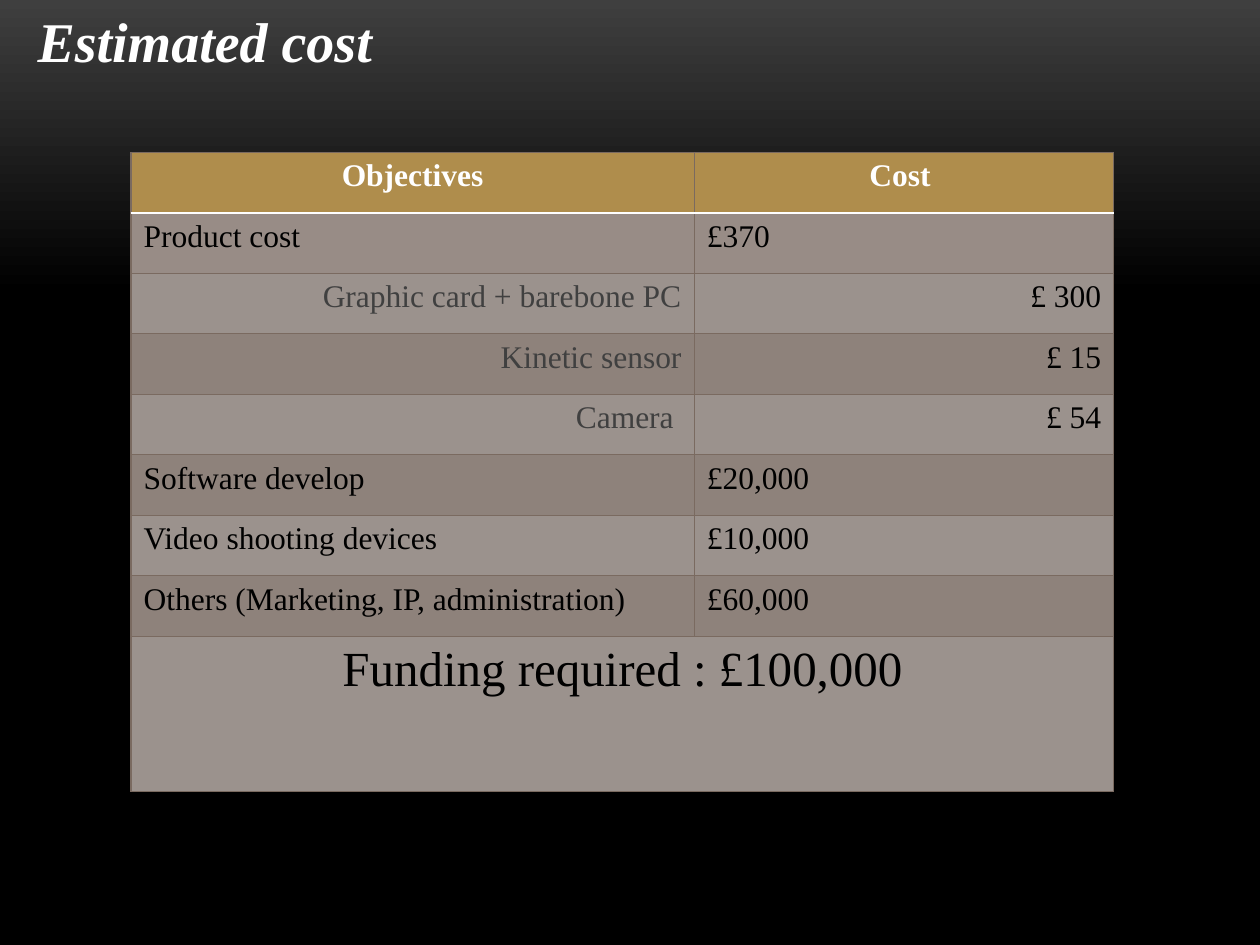
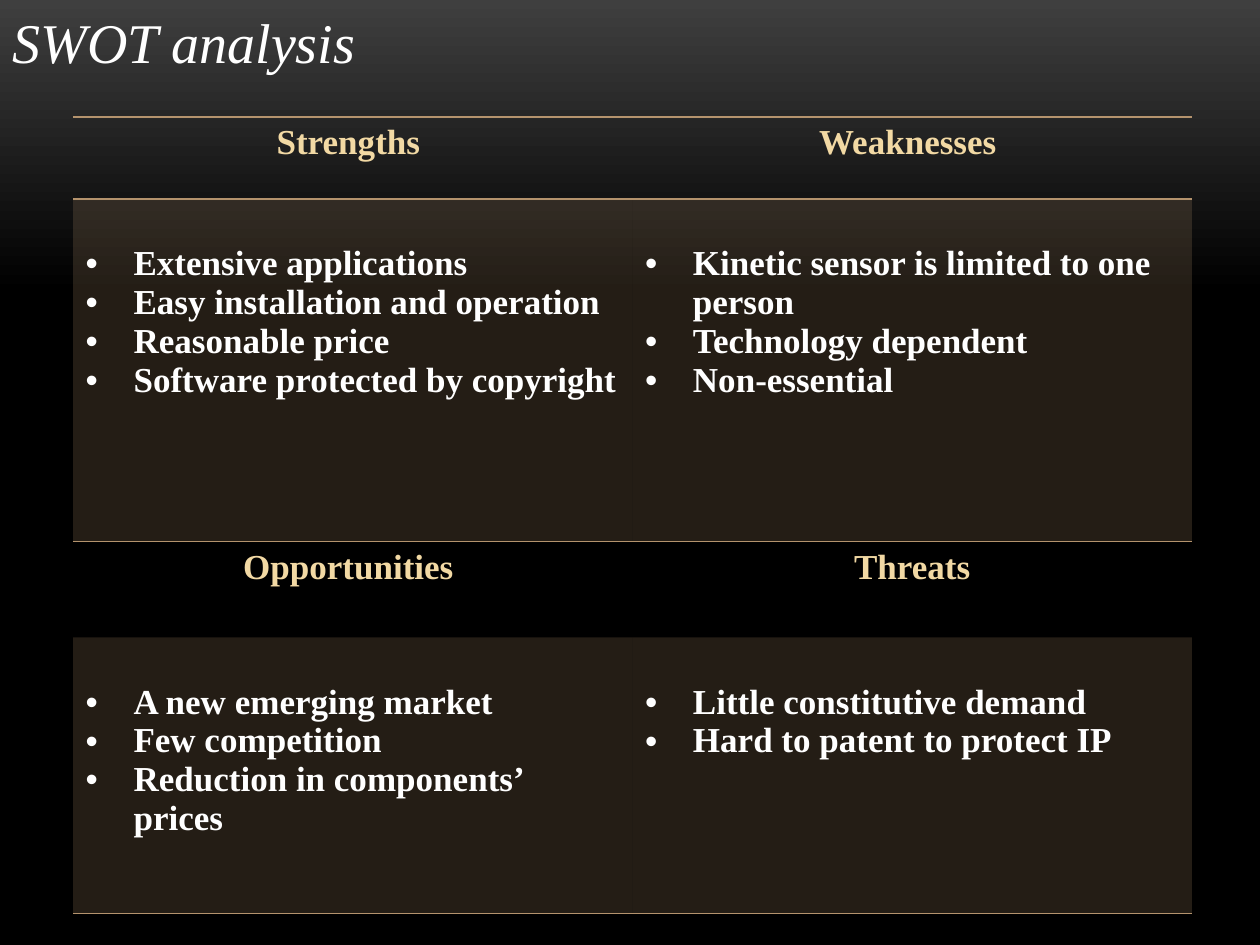
import copy
from pptx import Presentation
from pptx import util as u
from pptx.dml.color import RGBColor
from pptx.enum import text
from pptx.oxml import parse_xml
from pptx.oxml.ns import nsdecls, qn

FONT = "Times New Roman"
COLORS = {
    "glow": "3F3F3F", "black": "000000", "white": "FFFFFF", "grey": "404040",
    "gold": "AF8D4C", "frame": "7A6A60", "first": "988C86", "light": "9B928D",
    "dark": "8E827B", "sand": "F2D9A4", "bronze": "B4936D",
}
PLAIN_TABLE = "{2D5ABB26-0587-4C30-8999-92F81FD0307C}"
LEFT, CENTER, RIGHT = text.PP_ALIGN.LEFT, text.PP_ALIGN.CENTER, text.PP_ALIGN.RIGHT

COSTS = [
    ("Product cost", "£370", False),
    ("Graphic card + barebone PC", "£ 300", True),
    ("Kinetic sensor", "£ 15", True),
    ("Camera ", "£ 54", True),
    ("Software develop", "£20,000", False),
    ("Video shooting devices", "£10,000", False),
    ("Others (Marketing, IP, administration)", "£60,000", False),
]
SWOT = [
    [("Strengths ", ["Extensive applications", "Easy installation and operation",
                     "Reasonable price", "Software protected by copyright"]),
     ("Weaknesses ", ["Kinetic sensor is limited to one person",
                      "Technology dependent", "Non-essential"])],
    [("Opportunities ", ["A new emerging market", "Few competition",
                         "Reduction in components’ prices"]),
     ("Threats", ["Little constitutive demand", "Hard to patent to protect IP"])],
]


def rgb(name):
    return RGBColor.from_string(COLORS[name])


def style_runs(paragraph, size, color, bold=False, italic=False):
    for run in paragraph.runs:
        font = run.font
        font.name, font.size, font.bold, font.italic = FONT, u.Pt(size), bold, italic
        font.color.rgb = rgb(color)


def set_background(master):
    fill = master.background.fill
    fill.gradient()
    fill.gradient_angle = 270
    for stop, color, position in zip(fill.gradient_stops, ("glow", "black"), (0, 0.31)):
        stop.color.rgb = rgb(color)
        stop.position = position
    last = list(master.element.iter(qn("a:gs")))[-1]
    end = copy.deepcopy(last)
    end.set("pos", "100000")
    last.addnext(end)


def add_title(slide, wording, left, top, width, bold):
    box = slide.shapes.add_textbox(
        u.Inches(left), u.Inches(top), u.Inches(width), u.Inches(0.64))
    frame = box.text_frame
    frame.word_wrap = False
    frame.auto_size = text.MSO_AUTO_SIZE.SHAPE_TO_FIT_TEXT
    frame.text = wording
    style_runs(frame.paragraphs[0], 32, "white", bold, italic=True)


def add_plain_table(slide, left, top, widths, heights):
    shape = slide.shapes.add_table(
        len(heights), len(widths), u.Inches(left), u.Inches(top),
        u.Inches(sum(widths)), u.Inches(sum(heights)))
    for style in shape.element.iter(qn("a:tableStyleId")):
        style.text = PLAIN_TABLE
    table = shape.table
    for column, width in zip(table.columns, widths):
        column.width = u.Inches(width)
    for row, height in zip(table.rows, heights):
        row.height = u.Inches(height)
    return table


def paint_cell(cell, fill=None, borders=None, opacity=None):
    properties = cell._tc.get_or_add_tcPr()
    for side in "LRTB":
        if side in (borders or {}):
            color, points = borders[side]
            properties.append(parse_xml(
                f'<a:ln{side} {nsdecls("a")} w="{u.Pt(points)}"><a:solidFill>'
                f'<a:srgbClr val="{COLORS[color]}"/></a:solidFill></a:ln{side}>'))
    if fill is None:
        cell.fill.background()
        return
    cell.fill.solid()
    cell.fill.fore_color.rgb = rgb(fill)
    if opacity:
        color = properties.find(qn("a:solidFill")).find(qn("a:srgbClr"))
        color.append(parse_xml(f'<a:alpha {nsdecls("a")} val="{opacity * 1000}"/>'))


def write_cell(cell, wording, size, color, align=LEFT, bold=False):
    cell.text = wording
    paragraph = cell.text_frame.paragraphs[0]
    paragraph.alignment = align
    style_runs(paragraph, size, color, bold)


def write_bullets(cell, points):
    cell.margin_top = u.Inches(0.36)
    cell.text = "\n".join(points)
    indent = u.Inches(0.38)
    for paragraph in cell.text_frame.paragraphs:
        properties = paragraph._p.get_or_add_pPr()
        properties.set("marL", str(indent))
        properties.set("indent", str(-indent))
        properties.append(parse_xml(f'<a:buFont {nsdecls("a")} typeface="Arial"/>'))
        properties.append(parse_xml(f'<a:buChar {nsdecls("a")} char="•"/>'))
        style_runs(paragraph, 20, "white", bold=True)


def add_cost_table(slide, left, top):
    table = add_plain_table(slide, left, top, [4.47, 3.33], [0.48] * 8 + [1.23])
    frame = {side: ("frame", 0.75) for side in "LRTB"}
    rule = ("white", 0.85)
    for column, heading in enumerate(("Objectives", "Cost ")):
        cell = table.cell(0, column)
        write_cell(cell, heading, 18, "white", CENTER, bold=True)
        paint_cell(cell, "gold", {**frame, "B": rule})
    for row, (objective, cost, is_part) in enumerate(COSTS, 1):
        fill = "first" if row == 1 else "dark" if row % 2 else "light"
        borders = {**frame, "T": rule} if row == 1 else frame
        align = RIGHT if is_part else LEFT
        colors = ("grey" if is_part else "black", "black")
        for column, (wording, color) in enumerate(zip((objective, cost), colors)):
            cell = table.cell(row, column)
            write_cell(cell, wording, 18, color, align)
            paint_cell(cell, fill, borders)
    total, end = table.cell(8, 0), table.cell(8, 1)
    total.merge(end)
    write_cell(total, "Funding required : £100,000", 28, "black", CENTER)
    for cell in (total, end):
        paint_cell(cell, "light", frame)


def add_swot_table(slide, left, top):
    table = add_plain_table(slide, left, top, [4.44, 4.44], [0.65, 2.72, 0.76, 2.19])
    line = ("bronze", 1)
    heading_borders = [{"T": line, "B": line}, {}]
    body_borders = [{"T": line}, {"B": line}]
    for band, quadrants in enumerate(SWOT):
        for column, (heading, points) in enumerate(quadrants):
            head, body = table.cell(2 * band, column), table.cell(2 * band + 1, column)
            write_cell(head, heading, 20, "sand", CENTER, bold=True)
            paint_cell(head, borders=heading_borders[band])
            write_bullets(body, points)
            paint_cell(body, "bronze", body_borders[band], opacity=20)


def build_cost_slide(slide):
    add_title(slide, "Estimated cost", 0.2, 0, 3, bold=True)
    add_cost_table(slide, 1.04, 1.21)


def build_swot_slide(slide):
    add_swot_table(slide, 0.58, 0.93)
    add_title(slide, "SWOT analysis", 0, 0.01, 3.06, bold=False)


def main():
    presentation = Presentation()
    presentation.slide_width, presentation.slide_height = u.Inches(10), u.Inches(7.5)
    set_background(presentation.slide_master)
    for build in (build_cost_slide, build_swot_slide):
        build(presentation.slides.add_slide(presentation.slide_layouts[6]))
    presentation.save("out.pptx")


if __name__ == "__main__":
    main()
